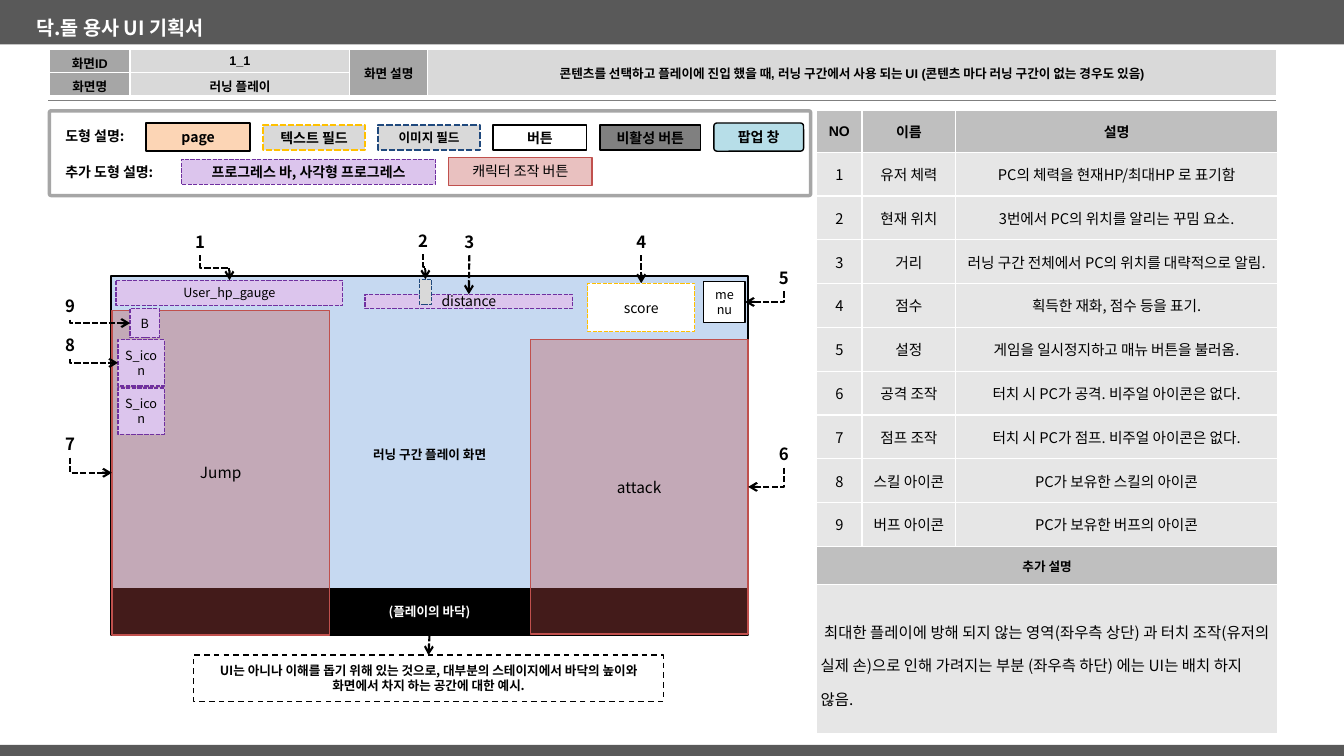
from dataclasses import dataclass
from typing import Any, NamedTuple, Optional

from lxml.etree import SubElement
from pptx import Presentation
from pptx.dml.color import RGBColor
from pptx.enum.dml import MSO_LINE as Dash
from pptx.enum.shapes import MSO_CONNECTOR as Link, MSO_SHAPE as Preset
from pptx.enum.text import MSO_ANCHOR as Anchor, PP_ALIGN as Align
from pptx.oxml.ns import qn
from pptx.util import Inches, Pt

WIDTH, HEIGHT = Inches(13.33), Inches(7.5)
COLUMNS, ROWS = 1333, 750
NOTO = "Noto Sans CJK KR"
TOP, LEFT, BOTTOM, RIGHT = range(4)


class Area(NamedTuple):
    col: float
    row: float
    cols: float
    rows: float


class Look(NamedTuple):
    fill: Optional[str] = None
    line: Optional[str] = None
    weight: float = 1
    dash: Optional[Dash] = None
    opacity: Optional[int] = None


class Type(NamedTuple):
    size: float = 9
    bold: bool = False
    color: str = "000000"
    font: str = NOTO
    align: Align = Align.CENTER
    spacing: Optional[float] = None


@dataclass
class Box:
    area: Area
    look: Look = Look()
    text: str = ""
    type: Type = Type()
    inset: Optional[int] = None
    corner: Optional[float] = None
    anchor: Anchor = Anchor.MIDDLE
    wrap: bool = True


@dataclass
class Cell:
    row: int
    col: int
    text: str
    fill: str
    type: Type
    row_span: int = 1
    col_span: int = 1


def across(cells: float) -> int:
    return round(WIDTH * cells / COLUMNS)


def down(cells: float) -> int:
    return round(HEIGHT * cells / ROWS)


def place(area: Area) -> tuple[int, int, int, int]:
    return across(area.col), down(area.row), across(area.cols), down(area.rows)


def paint(color_format: Any, code: str) -> None:
    color_format.rgb = RGBColor.from_string(code)


def apply(target: Any, values: dict[str, Any]) -> None:
    for name, value in values.items():
        setattr(target, name, value)


def write(frame: Any, text: str, style: Type) -> None:
    paragraph = frame.paragraphs[0]
    apply(paragraph, {"alignment": style.align, "line_spacing": style.spacing})
    run = paragraph.add_run()
    run.text = text
    apply(run.font, {"size": Pt(style.size), "bold": style.bold, "name": style.font})
    paint(run.font.color, style.color)
    SubElement(run.font._element, qn("a:ea"), typeface=NOTO)


def set_line(line: Any, look: Look) -> None:
    paint(line.color, look.line)
    apply(line, {"width": Pt(look.weight), "dash_style": look.dash})


def draw_box(slide: Any, box: Box) -> Any:
    preset = Preset.ROUNDED_RECTANGLE if box.corner else Preset.RECTANGLE
    if box.look == Look():
        shape = slide.shapes.add_textbox(*place(box.area))
    else:
        shape = slide.shapes.add_shape(preset, *place(box.area))
        shape.shadow.inherit = False
        if box.corner:
            shape.adjustments[0] = box.corner
        if box.look.fill:
            shape.fill.solid()
            paint(shape.fill.fore_color, box.look.fill)
        else:
            shape.fill.background()
        if box.look.opacity:
            tint = shape.element.spPr.find(qn("a:solidFill"))[0]
            SubElement(tint, qn("a:alpha"), val=str(box.look.opacity * 1000))
        if box.look.line:
            set_line(shape.line, box.look)
        else:
            shape.line.fill.background()
    frame = shape.text_frame
    apply(frame, {"word_wrap": box.wrap, "vertical_anchor": box.anchor})
    if box.inset:
        apply(frame, {f"margin_{side}": across(box.inset) for side in ("left", "top", "right", "bottom")})
    if box.text:
        write(frame, box.text, box.type)
    return shape


def draw_connector(slide: Any, kind: Link, ends: tuple[int, int, int, int], look: Look) -> Any:
    connector = slide.shapes.add_connector(kind, *ends)
    set_line(connector.line, look)
    SubElement(connector.element.spPr, qn("a:effectLst"))
    return connector


def draw_callout(slide: Any, source: Any, target: Any, side: int) -> None:
    shift = target.left + target.width // 2 - source.left - source.width // 2
    straight = side == TOP and abs(shift) < across(2)
    kind = Link.STRAIGHT if straight else Link.ELBOW
    arrow = draw_connector(slide, kind, (0, 0, 0, 0), Look(None, "000000", 1.5, Dash.SQUARE_DOT))
    arrow.begin_connect(source, BOTTOM)
    arrow.end_connect(target, side)
    properties = arrow.element.spPr
    SubElement(properties.find(qn("a:ln")), qn("a:tailEnd"), type="arrow")
    if straight:
        return
    run, drop = arrow.end_x - arrow.begin_x, arrow.end_y - arrow.begin_y
    middle_x, middle_y = arrow.begin_x + run // 2, arrow.begin_y + drop // 2
    apply(arrow, {"left": middle_x - drop // 2, "top": middle_y - abs(run) // 2, "width": drop, "height": abs(run)})
    turn = properties.find(qn("a:xfrm"))
    for name, value in {"rot": 270 * 60000 if run > 0 else 90 * 60000, "flipH": int(run > 0), "flipV": 0}.items():
        turn.set(name, str(value))
    if side != TOP:
        properties.find(qn("a:prstGeom")).set("prst", "bentConnector2")


def draw_table(slide: Any, area: Area, widths: list[float], heights: list[float], cells: list[Cell]) -> None:
    table = slide.shapes.add_table(len(heights), len(widths), *place(area)).table
    for column, width in zip(table.columns, widths):
        column.width = across(width)
    for row, height in zip(table.rows, heights):
        row.height = down(height)
    for item in cells:
        first = table.cell(item.row, item.col)
        for row in range(item.row, item.row + item.row_span):
            for col in range(item.col, item.col + item.col_span):
                cell = table.cell(row, col)
                apply(cell, {f"margin_{side}": across(4) for side in ("left", "top", "right", "bottom")})
                cell.vertical_anchor = Anchor.MIDDLE
                for edge in ("lnL", "lnR", "lnT", "lnB"):
                    border = SubElement(cell._tc.tcPr, qn(f"a:{edge}"), w=str(Pt(1)))
                    SubElement(SubElement(border, qn("a:solidFill")), qn("a:srgbClr"), val="FFFFFF")
                cell.fill.solid()
                paint(cell.fill.fore_color, item.fill)
        if item.row_span * item.col_span > 1:
            first.merge(table.cell(item.row + item.row_span - 1, item.col + item.col_span - 1))
        write(first.text_frame, item.text, item.type)


BAND = Look("595959")
PAGE, BUTTON, OFF = (Look(fill, "000000") for fill in ("FCD5B5", "FFFFFF", "808080"))
PROGRESS = Look("DCC5ED", "7030A0", 1, Dash.SQUARE_DOT)
CONTROL = Look("C0504D", "C0504D", opacity=35)
NORMAL, STRONG, KEY, KEY_PLAIN, TOUCH = Type(), Type(9, True), Type(10, True), Type(10), Type(11)
LABEL = Type(10, True, align=Align.LEFT)
HEADING = Type(9, True, font="Arial")

FRAME = [
    Box(Area(0, 0, 1333, 44), BAND),
    Box(Area(26, 11, 1270, 34), Look(), "닥.돌 용사 UI 기획서", Type(14, True, "FFFFFF", align=Align.LEFT), anchor=Anchor.TOP),
    Box(Area(0, 739, 1333, 11), BAND),
]
SCREEN = {
    "play": Box(Area(110, 274, 632, 354), Look("C6D9F1", "000000"), "러닝 구간 플레이 화면", STRONG),
    "floor": Box(Area(110, 584, 632, 46), Look("000000", "000000"), "(플레이의 바닥)", Type(9, True, "FFFFFF")),
    "jump": Box(Area(111, 308, 216, 322), CONTROL, "Jump", TOUCH),
    "attack": Box(Area(526, 337, 216, 292), CONTROL, "attack", TOUCH),
    "score": Box(Area(583, 281, 106, 48), Look("FFFFFF", "FFC000", 1, Dash.SQUARE_DOT), "score", KEY_PLAIN),
    "buff": Box(Area(129, 306, 29, 29), PROGRESS, "B"),
    "skill": Box(Area(117, 337, 46, 46), PROGRESS, "S_icon", inset=4),
    "next skill": Box(Area(117, 385, 46, 46), PROGRESS, "S_icon", inset=4),
    "health": Box(Area(115, 278, 225, 25), PROGRESS, "User_hp_gauge"),
    "distance": Box(Area(362, 292, 206, 14), PROGRESS, "distance", KEY_PLAIN),
    "marker": Box(Area(416, 277, 12, 25), Look("D9D9D9", "1F497D", 1, Dash.SQUARE_DOT)),
    "menu": Box(Area(698, 279, 41, 41), BUTTON, "menu"),
    "note": Box(Area(192, 650, 466, 46), Look("FFFFFF", "000000", 1, Dash.DASH),
                "UI는 아니나 이해를 돕기 위해 있는 것으로, 대부분의 스테이지에서 바닥의 높이와 화면에서 차지 하는 공간에 대한 예시.", STRONG),
}
CALLOUTS = [
    ("1", 178, 226, "health", TOP), ("2", 399, 225, "marker", TOP), ("3", 445, 226, "distance", TOP),
    ("4", 615.5, 226, "score", TOP), ("5", 757, 262, "menu", RIGHT), ("6", 757, 437, "attack", RIGHT),
    ("7", 49, 427, "jump", LEFT), ("8", 49, 329, "skill", LEFT), ("9", 49, 290, "buff", LEFT),
]
LEGEND = [
    Box(Area(145, 122, 103, 28), PAGE, "page", KEY),
    Box(Area(261, 124, 101, 25), Look("D9D9D9", "FFC000", 1.5, Dash.SQUARE_DOT), "텍스트 필드", KEY),
    Box(Area(375, 124, 101, 25), Look("D9D9D9", "1F497D", 1.5, Dash.SQUARE_DOT), "이미지 필드", STRONG),
    Box(Area(489, 124, 93, 25), BUTTON, "버튼", KEY),
    Box(Area(595, 124, 100, 25), OFF, "비활성 버튼", KEY),
    Box(Area(708, 122, 89, 28), Look("B7DEE8", "000000"), "팝업 창", KEY, corner=0.11, anchor=Anchor.TOP),
    Box(Area(49, 110, 755, 84), Look(None, "A6A6A6", 2.5), corner=0.02),
    Box(Area(55, 122, 85, 27), Look(), "도형 설명:", LABEL, anchor=Anchor.TOP, wrap=False),
    Box(Area(55, 157, 118, 27), Look(), "추가 도형 설명:", LABEL, anchor=Anchor.TOP, wrap=False),
    Box(Area(180, 158, 252, 25), PROGRESS, "프로그레스 바, 사각형 프로그레스", KEY),
    Box(Area(445, 156, 142, 28), CONTROL, "캐릭터 조작 버튼", KEY_PLAIN),
]
OVERVIEW = [
    Cell(0, 0, "화면ID", "A6A6A6", HEADING), Cell(0, 1, "1_1", "D9D9D9", HEADING),
    Cell(1, 0, "화면명", "A6A6A6", HEADING), Cell(1, 1, "러닝 플레이", "D9D9D9", HEADING),
    Cell(0, 2, "화면 설명", "A6A6A6", HEADING, row_span=2),
    Cell(0, 3, "콘텐츠를 선택하고 플레이에 진입 했을 때, 러닝 구간에서 사용 되는 UI (콘텐츠 마다 러닝 구간이 없는 경우도 있음)",
         "D9D9D9", HEADING, row_span=2),
]
ELEMENTS = [
    ("유저 체력", "PC의 체력을 현재HP/최대HP 로 표기함"), ("현재 위치", "3번에서 PC의 위치를 알리는 꾸밈 요소."),
    ("거리", "러닝 구간 전체에서 PC의 위치를 대략적으로 알림."), ("점수", "획득한 재화, 점수 등을 표기."),
    ("설정", "게임을 일시정지하고 매뉴 버튼을 불러옴."), ("공격 조작", "터치 시 PC가 공격. 비주얼 아이콘은 없다."),
    ("점프 조작", "터치 시 PC가 점프. 비주얼 아이콘은 없다."), ("스킬 아이콘", "PC가 보유한 스킬의 아이콘"),
    ("버프 아이콘", "PC가 보유한 버프의 아이콘"),
]
REMARK = " 최대한 플레이에 방해 되지 않는 영역(좌우측 상단) 과 터치 조작(유저의 실제 손)으로 인해 가려지는 부분 (좌우측 하단) 에는 UI는 배치 하지 않음."


def main() -> None:
    deck = Presentation()
    apply(deck, {"slide_width": WIDTH, "slide_height": HEIGHT})
    slide = deck.slides.add_slide(deck.slide_layouts[6])
    for box in FRAME:
        draw_box(slide, box)
    draw_connector(slide, Link.STRAIGHT, (across(48), down(100), across(1266), down(100)), Look(None, "7F7F7F", 0.75))
    draw_table(slide, Area(49, 49, 1217, 45), [80, 218, 77, 842], [22.5] * 2, OVERVIEW)
    details = [Cell(0, col, text, "BFBFBF", Type(10, True, font="Arial")) for col, text in enumerate(("NO", "이름", "설명"))]
    for row, (name, meaning) in enumerate(ELEMENTS, 1):
        details += [Cell(row, col, text, "E6E6E6", Type(10.5)) for col, text in enumerate((str(row), name, meaning))]
    details.append(Cell(10, 0, "추가 설명", "BFBFBF", HEADING, col_span=3))
    details.append(Cell(11, 0, REMARK, "E6E6E6", Type(11, align=Align.LEFT, spacing=1.5), col_span=3))
    draw_table(slide, Area(810, 110, 457, 618), [45, 93, 319], [41] + [43.5] * 9 + [38, 148], details)
    parts = {name: draw_box(slide, box) for name, box in SCREEN.items()}
    for number, col, row, target, side in CALLOUTS:
        label = draw_box(slide, Box(Area(col, row, 41, 27), Look(), number, Type(12, True)))
        draw_callout(slide, label, parts[target], side)
    draw_callout(slide, parts["floor"], parts["note"], TOP)
    for box in LEGEND:
        draw_box(slide, box)
    deck.save("out.pptx")


if __name__ == "__main__":
    main()
